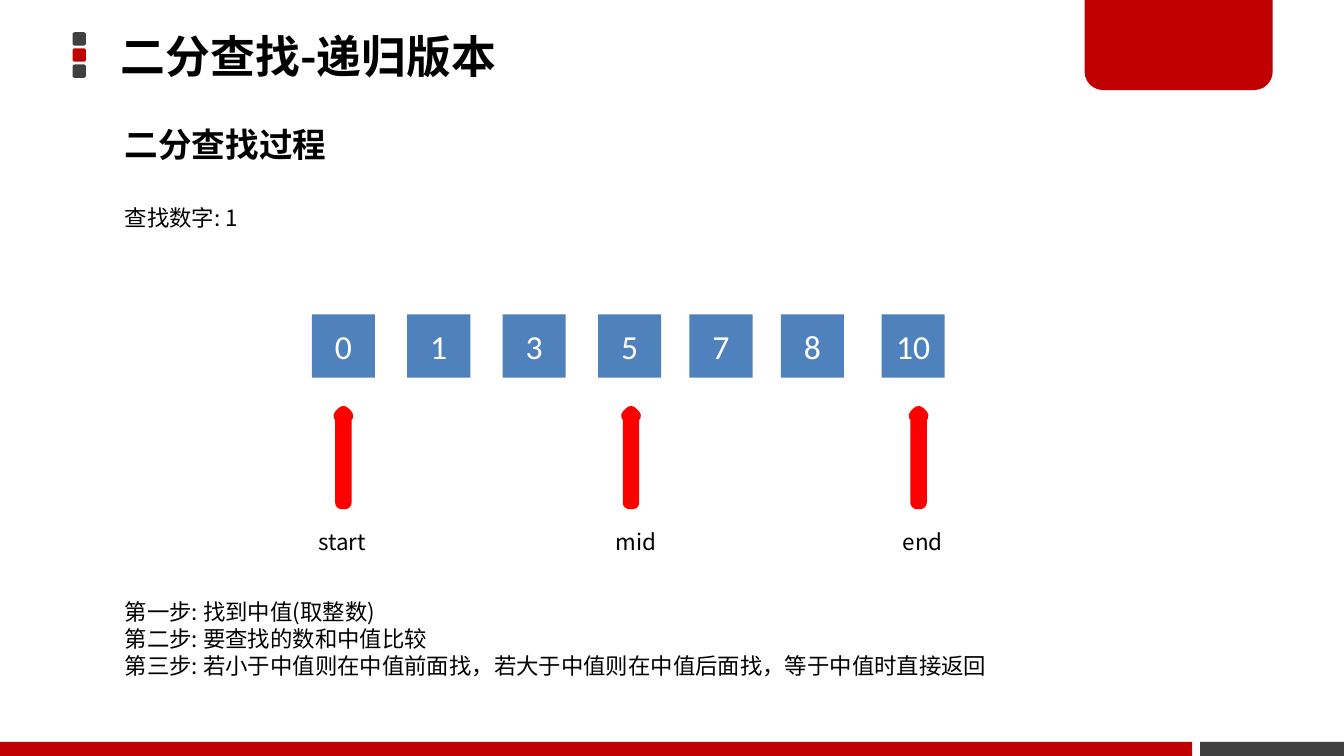
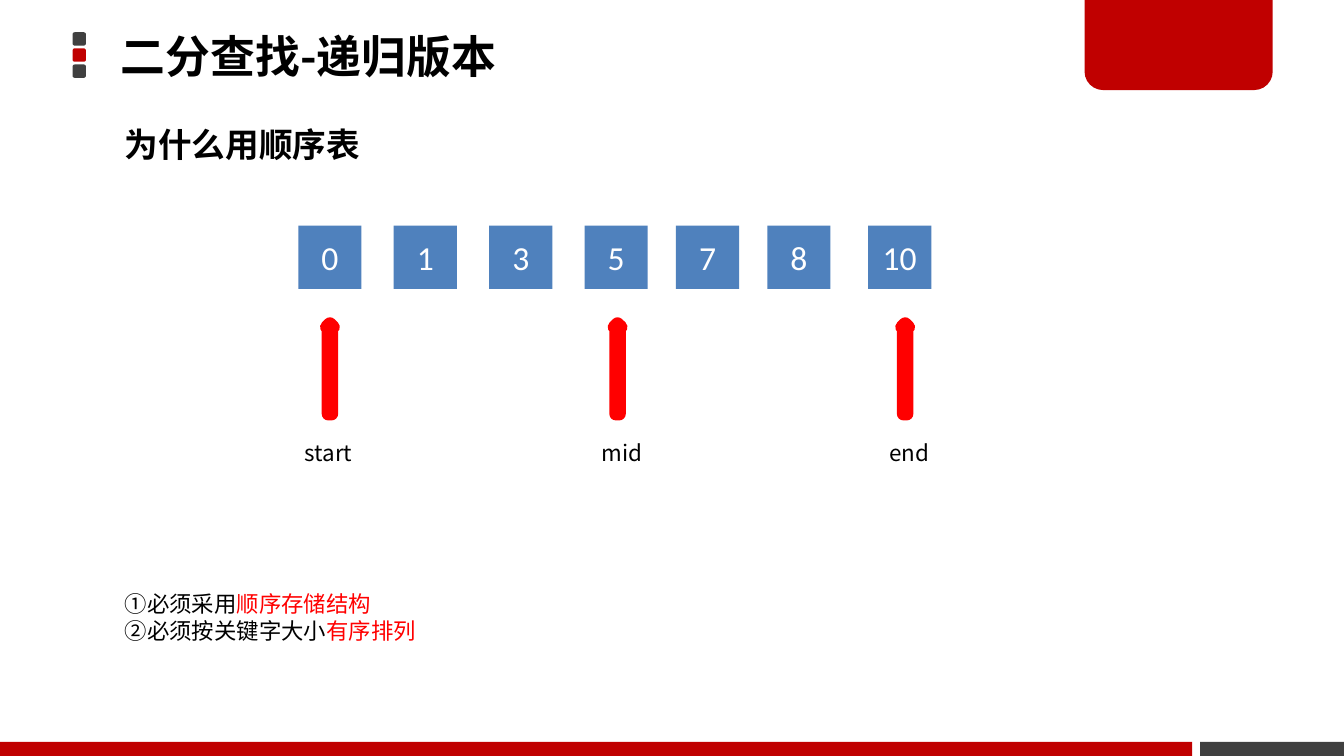
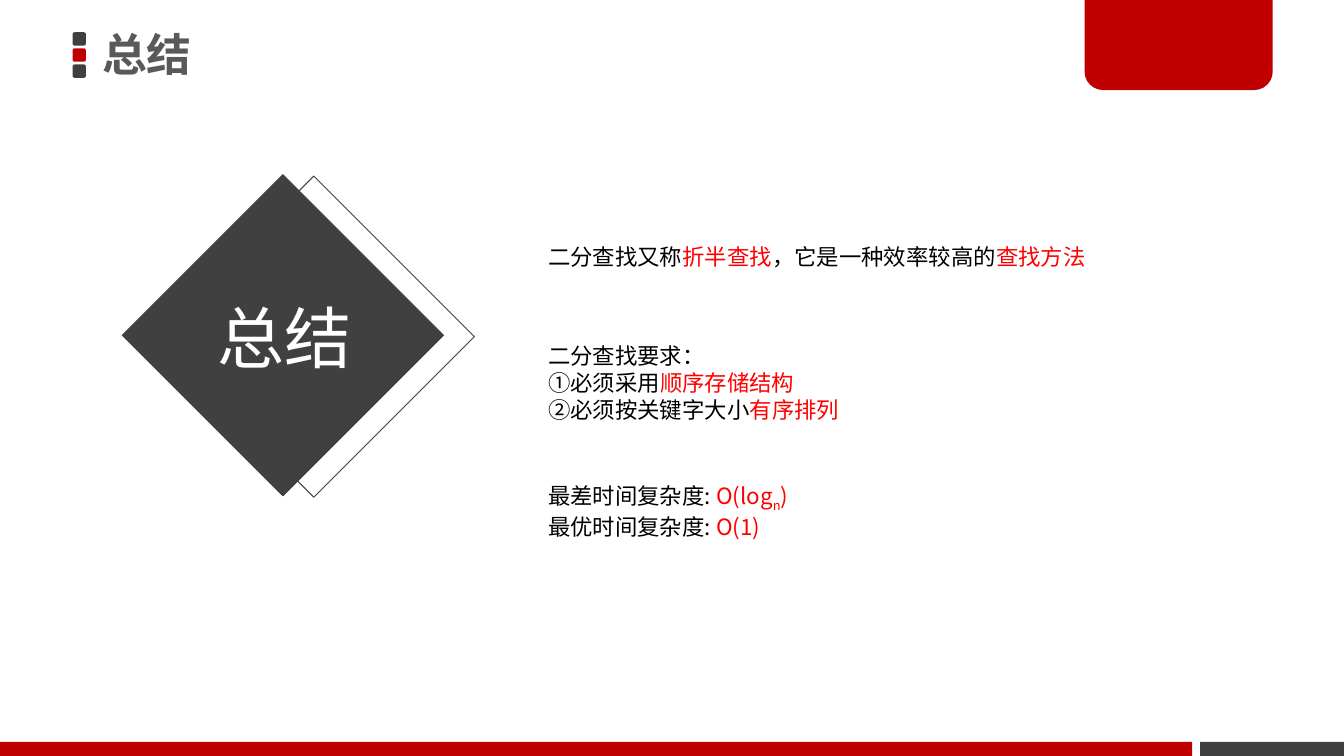
from pptx import Presentation
from pptx.dml.color import RGBColor
from pptx.enum.shapes import MSO_SHAPE
from pptx.enum.text import MSO_ANCHOR, MSO_AUTO_SIZE, PP_ALIGN
from pptx.oxml.ns import qn
from pptx.util import Inches, Pt
from lxml.etree import SubElement

RED, DARK, BLUE = "C00000", "404040", "4F81BD"
BLACK, WHITE, GREY, ACCENT = "000000", "FFFFFF", "595959", "FF0000"
CJK = "Noto Sans CJK SC"
TITLE_INSETS = (0.07, 0.04)


def add_shape(page, kind, at, fill=None, line=None, width=0.5):
    shape = page.shapes.add_shape(kind, *map(Inches, at))
    shape.shadow.inherit = False
    for part, colour in ((shape.fill, fill), (shape.line.fill, line)):
        if colour:
            part.solid()
            part.fore_color.rgb = RGBColor.from_string(colour)
        else:
            part.background()
    if line:
        shape.line.width = Pt(width)
    return shape


def write(box, lines, size=12, colour=BLACK, font=CJK, bold=False, align=PP_ALIGN.LEFT,
          anchor=MSO_ANCHOR.TOP, insets=(0.1, 0.05), spacing=None):
    """Each line is a list of runs: (text, optional colour, optional baseline)."""
    frame = box.text_frame
    frame.word_wrap = True
    frame.auto_size = MSO_AUTO_SIZE.NONE
    frame.vertical_anchor = anchor
    frame.margin_left = frame.margin_right = Inches(insets[0])
    frame.margin_top = frame.margin_bottom = Inches(insets[1])
    for number, runs in enumerate(lines):
        para = frame.add_paragraph() if number else frame.paragraphs[0]
        para.alignment = align
        if spacing:
            para.line_spacing = spacing
        for text, *extra in runs:
            span = para.add_run()
            span.text = text
            span.font.size = Pt(size)
            span.font.bold = bold
            span.font.name = font
            span.font.color.rgb = RGBColor.from_string(extra[0] if extra else colour)
            properties = span._r.get_or_add_rPr()
            SubElement(properties, qn("a:ea")).set("typeface", font)
            if len(extra) > 1:
                properties.set("baseline", extra[1])


# Widescreen deck, 16 to 9
deck = Presentation()
deck.slide_width = Inches(10)
deck.slide_height = deck.slide_width * 9 // 16
layout = deck.slide_layouts[5]
for placeholder in list(layout.placeholders):
    if placeholder.placeholder_format.idx != 0:
        placeholder.element.getparent().remove(placeholder.element)

# Pages with their titles
titles = [
    ("二分查找-递归版本", (0.83, -0.01, 5.89, 0.89), BLACK),
    ("二分查找-递归版本", (0.83, -0.01, 5.89, 0.89), BLACK),
    ("总结", (0.69, -0.02, 4.31, 0.89), GREY),
]
for text, at, colour in titles:
    page = deck.slides.add_slide(layout)
    title = page.shapes.title
    title.left, title.top, title.width, title.height = map(Inches, at)
    write(title, [[(text,)]], 24, colour, bold=True, anchor=MSO_ANCHOR.MIDDLE,
          insets=TITLE_INSETS, spacing=0.9)
process_page, reason_page, summary_page = deck.slides

# Shared decoration, moved to the layout
decoration = [
    add_shape(process_page, MSO_SHAPE.ROUNDED_RECTANGLE, (0.54, 0.24 + 0.12 * row, 0.1, 0.1), colour)
    for row, colour in enumerate((DARK, RED, DARK))
]
banner = add_shape(process_page, MSO_SHAPE.ROUND_2_SAME_RECTANGLE, (8.07, -0.02, 1.4, 0.69), RED)
banner.adjustments[0], banner.adjustments[1] = 0, 0.2
decoration.append(banner)
for left, width, colour in ((8.93, 1.07, DARK), (0, 8.87, RED)):
    decoration.append(add_shape(process_page, MSO_SHAPE.RECTANGLE, (left, 5.52, width, 0.11), colour))
for shape in decoration:
    layout.shapes.element.append(shape.element)

# Number rows with their pointers
cells = [("0", 0), ("1", 0.71), ("3", 1.42), ("5", 2.13), ("7", 2.81), ("8", 3.49), ("10", 4.24)]
pointers = [("start", 0.57, 0.26), ("mid", 0.51, 0.19), ("end", 0.51, 0.19)]
for page, left, top in ((process_page, 2.32, 2.34), (reason_page, 2.22, 1.68)):
    for number, offset in cells:
        cell = add_shape(page, MSO_SHAPE.RECTANGLE, (left + offset, top, 0.47, 0.47), BLUE)
        write(cell, [[(number,)]], 18, WHITE, "Calibri", align=PP_ALIGN.CENTER,
              anchor=MSO_ANCHOR.MIDDLE)
    for index, (name, width, shift) in enumerate(pointers):
        arrow_left = left + 0.21 + 2.14 * index
        add_shape(page, MSO_SHAPE.UP_ARROW, (arrow_left, top + 0.73, 0.05, 0.67),
                  line=ACCENT, width=7)
        label = page.shapes.add_textbox(
            *map(Inches, (arrow_left - shift, top + 1.54, width, 0.3)))
        write(label, [[(name,)]])

# Summary diamonds
for left, top, fill in ((1.49, 1.66, None), (1.26, 1.65, DARK)):
    diamond = add_shape(summary_page, MSO_SHAPE.RECTANGLE, (left, top, 1.69, 1.69), fill, DARK)
    diamond.rotation = 45
caption = summary_page.shapes.add_textbox(*map(Inches, (0.02, 2.1, 4.19, 0.89)))
write(caption, [[("总结",)]], 36, WHITE, align=PP_ALIGN.CENTER, anchor=MSO_ANCHOR.MIDDLE,
      insets=TITLE_INSETS, spacing=0.9)

# Subtitles
for page, width, text in ((process_page, 1.72, "二分查找过程"), (reason_page, 1.97, "为什么用顺序表")):
    subtitle = page.shapes.add_textbox(*map(Inches, (0.83, 0.87, width, 0.4)))
    write(subtitle, [[(text,)]], 18, bold=True)

# Body texts
requirements = [
    [("①必须采用",), ("顺序存储结构", ACCENT)],
    [("②必须按关键字大小",), ("有序排列", ACCENT)],
]
steps = [
    [("第一步: 找到中值(取整数)",)],
    [("第二步: 要查找的数和中值比较",)],
    [("第三步: 若小于中值则在中值前面找，若大于中值则在中值后面找，等于中值时直接返回",)],
]
definition = [[("二分查找又称",), ("折半查找", ACCENT), ("，它是一种效率较高的",), ("查找方法", ACCENT)]]
complexity = [
    [("最差时间复杂度: ",), ("O(log", ACCENT), ("n", ACCENT, "-25000"), (")", ACCENT)],
    [("最优时间复杂度: ",), ("O(1)", ACCENT)],
]
bodies = [
    (process_page, (0.83, 1.47, 1.06, 0.3), [[("查找数字: 1",)]]),
    (process_page, (0.83, 4.4, 6.64, 0.71), steps),
    (reason_page, (0.83, 4.34, 2.39, 0.5), requirements),
    (summary_page, (3.98, 1.76, 4.24, 0.3), definition),
    (summary_page, (3.98, 2.5, 2.39, 0.71), [[("二分查找要求：",)], *requirements]),
    (summary_page, (3.98, 3.54, 2.05, 0.5), complexity),
]
for page, at, lines in bodies:
    write(page.shapes.add_textbox(*map(Inches, at)), lines)

deck.save("out.pptx")
